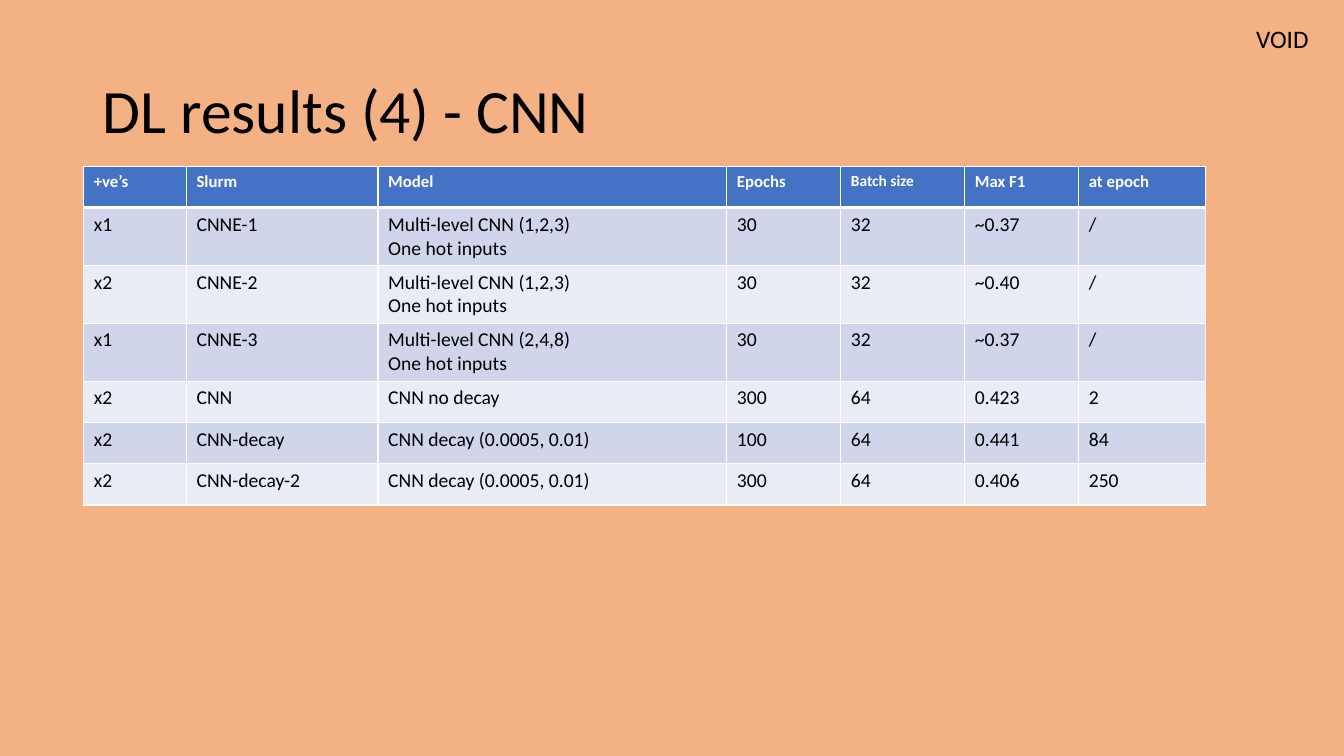
"""Build the slide with the CNN deep learning results table."""
import pptx
import pptx.dml.color
import pptx.enum.text
import pptx.oxml
import pptx.oxml.ns
import pptx.util
from pptx.util import Inches

RGBColor = pptx.dml.color.RGBColor
BACKGROUND = RGBColor(0xF4, 0xB1, 0x83)
BLACK = RGBColor(0x00, 0x00, 0x00)
WHITE = RGBColor(0xFF, 0xFF, 0xFF)
HEADER_BLUE = RGBColor(0x44, 0x72, 0xC4)
BAND_DARK = RGBColor(0xCF, 0xD5, 0xEA)
BAND_LIGHT = RGBColor(0xE9, 0xEB, 0xF5)

COLUMN_WIDTHS = [1.02, 1.9, 3.46, 1.13, 1.23, 1.13, 1.26]
ROW_HEIGHT = 0.41
RESULTS = [
    ["+ve’s", "Slurm", "Model", "Epochs", "Batch size", "Max F1", "at epoch"],
    ["x1", "CNNE-1", "Multi-level CNN (1,2,3)\nOne hot inputs", "30", "32", "~0.37", "/"],
    ["x2", "CNNE-2", "Multi-level CNN (1,2,3)\nOne hot inputs", "30", "32", "~0.40", "/"],
    ["x1", "CNNE-3", "Multi-level CNN (2,4,8)\vOne hot inputs", "30", "32", "~0.37", "/"],
    ["x2", "CNN", "CNN no decay", "300", "64", "0.423", "2"],
    ["x2", "CNN-decay", "CNN decay (0.0005, 0.01)", "100", "64", "0.441", "84"],
    ["x2", "CNN-decay-2", "CNN decay (0.0005, 0.01)", "300", "64", "0.406", "250"],
]


class SlideBuilder:
    def __init__(self, presentation, font_name):
        self.font_name = font_name
        self.slide = presentation.slides.add_slide(presentation.slide_layouts[5])
        self.slide.background.fill.solid()
        self.slide.background.fill.fore_color.rgb = BACKGROUND

    def format_text(self, text_frame, size, color=BLACK, bold=False):
        for paragraph in text_frame.paragraphs:
            for run in paragraph.runs:
                run.font.name = self.font_name
                run.font.size = pptx.util.Pt(size)
                run.font.color.rgb = color
                run.font.bold = bold

    def title(self, text, left, top, width, height):
        shape = self.slide.shapes.title
        shape.left, shape.top = Inches(left), Inches(top)
        shape.width, shape.height = Inches(width), Inches(height)
        text_frame = shape.text_frame
        text_frame.text = text
        text_frame.vertical_anchor = pptx.enum.text.MSO_ANCHOR.MIDDLE
        paragraph = text_frame.paragraphs[0]
        paragraph.alignment = pptx.enum.text.PP_ALIGN.LEFT
        paragraph.line_spacing = 0.9
        self.format_text(text_frame, 44)

    def label(self, text, left, top, width, height):
        shape = self.slide.shapes.add_textbox(
            Inches(left), Inches(top), Inches(width), Inches(height))
        text_frame = shape.text_frame
        text_frame.text = text
        text_frame.word_wrap = False
        text_frame.auto_size = pptx.enum.text.MSO_AUTO_SIZE.SHAPE_TO_FIT_TEXT
        self.format_text(text_frame, 18)

    def border(self, cell, side, width):
        properties = cell._tc.get_or_add_tcPr()
        properties.append(pptx.oxml.parse_xml(
            f'<a:ln{side} {pptx.oxml.ns.nsdecls("a")} w="{pptx.util.Pt(width)}">'
            f'<a:solidFill><a:srgbClr val="{WHITE}"/></a:solidFill></a:ln{side}>'))

    def table(self, rows, left, top):
        table = self.slide.shapes.add_table(
            len(rows), len(COLUMN_WIDTHS), Inches(left), Inches(top),
            Inches(sum(COLUMN_WIDTHS)), Inches(ROW_HEIGHT * len(rows))).table
        for column, width in zip(table.columns, COLUMN_WIDTHS):
            column.width = Inches(width)
        for row_index, texts in enumerate(rows):
            table.rows[row_index].height = Inches(ROW_HEIGHT)
            for column_index, text in enumerate(texts):
                self.table_cell(table.cell(row_index, column_index), text, row_index)

    def table_cell(self, cell, text, row_index):
        is_header = row_index == 0
        cell.text = text
        top_width = 3 if row_index == 1 else 1
        bottom_width = 3 if is_header else 1
        for side, width in zip("LRTB", (1, 1, top_width, bottom_width)):
            self.border(cell, side, width)
        cell.fill.solid()
        if is_header:
            cell.fill.fore_color.rgb = HEADER_BLUE
            size = 11 if text == "Batch size" else 12
            self.format_text(cell.text_frame, size, WHITE, bold=True)
        else:
            cell.fill.fore_color.rgb = BAND_DARK if row_index % 2 else BAND_LIGHT
            self.format_text(cell.text_frame, 14)


def main():
    presentation = pptx.Presentation()
    presentation.slide_width = Inches(13.33)
    presentation.slide_height = Inches(7.5)
    builder = SlideBuilder(presentation, "Calibri")
    builder.title("DL results (4) - CNN", 0.92, 0.4, 11.5, 1.45)
    builder.table(RESULTS, 0.83, 1.65)
    builder.label("VOID", 12.36, 0.18, 0.73, 0.4)
    presentation.save("out.pptx")


if __name__ == "__main__":
    main()
